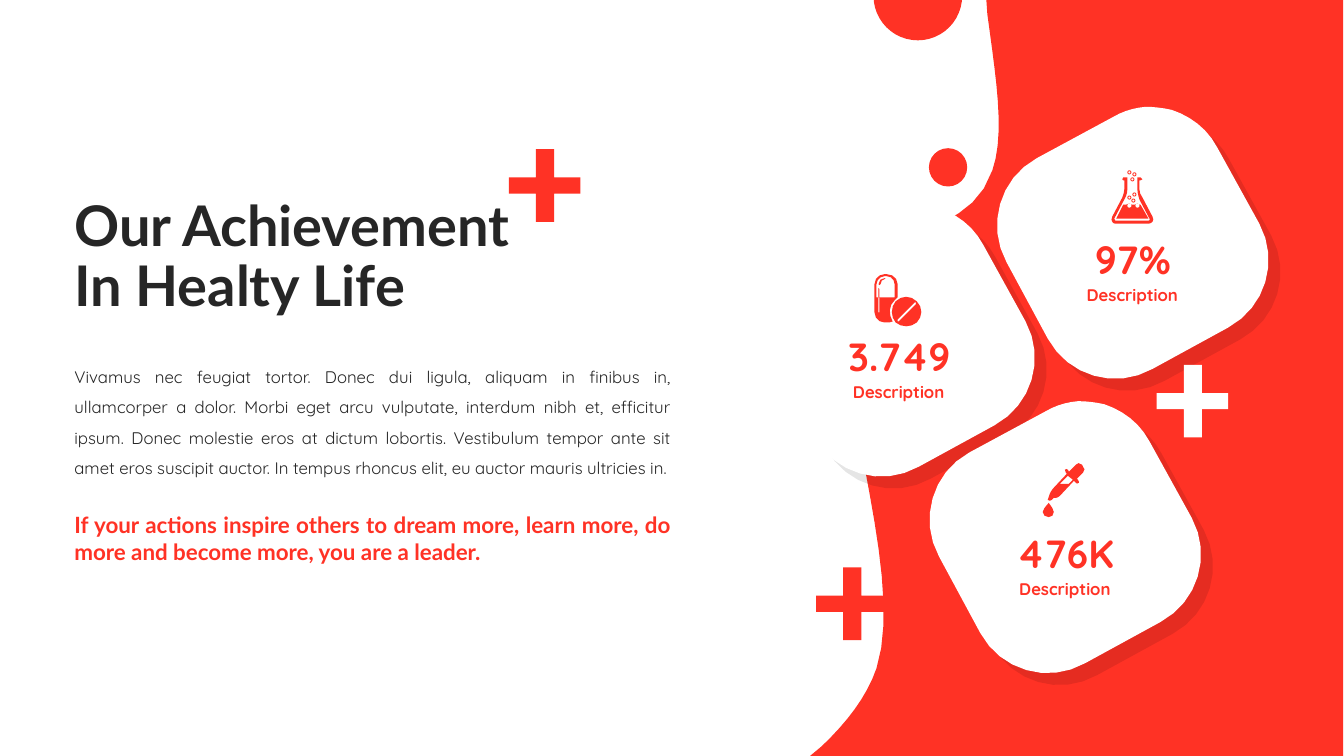
import math
from lxml import etree
from pptx import Presentation
from pptx import util as u
from pptx.dml.color import RGBColor
from pptx.enum import shapes, text
from pptx.oxml import ns

HUES = {"red": "FF3225", "white": "FFFFFF", "dark": "262626", "black": "000000"}
OVAL = shapes.MSO_SHAPE.OVAL
RING = shapes.MSO_SHAPE.DONUT
MID = text.PP_ALIGN.CENTER
JUST = text.PP_ALIGN.JUSTIFY

# Outlines in inches: a pair is a line's end, six numbers are a curve.
WAVE = [[(9.79, 0), (13.33, 0), (13.33, 7.5), (8.04, 7.5), (8.16, 7.4),
         (8.4, 7.17, 8.6, 6.92, 8.7, 6.63), (9, 5.69, 8.24, 3.81, 8.43, 2.98),
         (8.63, 2.16, 9.6, 2.44, 9.85, 1.69), (9.98, 1.32, 9.88, 0.74, 9.8, 0.14)]]
CARD = [[(9.05, 2.03), (9.13, 2.03, 9.22, 2.04, 9.31, 2.06),
         (9.49, 2.12, 9.66, 2.24, 9.76, 2.43),
         (10.18, 3.19), (10.38, 3.56, 10.24, 4.02, 9.87, 4.22), (9.12, 4.63),
         (8.75, 4.84, 8.28, 4.7, 8.08, 4.33), (7.67, 3.57),
         (7.47, 3.21, 7.6, 2.74, 7.97, 2.54), (8.73, 2.13),
         (8.83, 2.07, 8.94, 2.04, 9.05, 2.03)]]
CROSS = [[(.27, 0), (.45, 0), (.45, .28), (.71, .28), (.71, .44), (.45, .44),
          (.45, .72), (.27, .72), (.27, .44), (0, .44), (0, .28), (.27, .28)]]
FLASK = [
    [(11.44, 2.2), (11.43, 2.21, 11.42, 2.22, 11.4, 2.22), (11.07, 2.22),
     (11.06, 2.22, 11.04, 2.21, 11.04, 2.2), (11.03, 2.19, 11.03, 2.17, 11.04, 2.15),
     (11.14, 1.96), (11.15, 1.94, 11.16, 1.9, 11.16, 1.88), (11.16, 1.79), (11.15, 1.79),
     (11.14, 1.78), (11.15, 1.76), (11.19, 1.76), (11.19, 1.88),
     (11.19, 1.91, 11.18, 1.95, 11.16, 1.98), (11.06, 2.17), (11.07, 2.19), (11.4, 2.19),
     (11.41, 2.19, 11.42, 2.18, 11.41, 2.17), (11.31, 1.98),
     (11.3, 1.95, 11.29, 1.91, 11.29, 1.88), (11.29, 1.76), (11.32, 1.76),
     (11.34, 1.78), (11.32, 1.79), (11.31, 1.79), (11.31, 1.88),
     (11.31, 1.9, 11.32, 1.94, 11.34, 1.96), (11.44, 2.15),
     (11.45, 2.17, 11.45, 2.19, 11.44, 2.2)],
    [(11.21, 2.02), (11.23, 2.03), (11.27, 2.03), (11.29, 2.02), (11.31, 2.03),
     (11.32, 2.03), (11.4, 2.17), (11.08, 2.17), (11.15, 2.03), (11.18, 2.03)]]
PIPE = [
    [(10.75, 4.63), (10.74, 4.61), (10.72, 4.59, 10.69, 4.59, 10.68, 4.61), (10.61, 4.68),
     (10.6, 4.66), (10.59, 4.65, 10.58, 4.65, 10.57, 4.66), (10.58, 4.69), (10.59, 4.7),
     (10.45, 4.85), (10.43, 4.88), (10.42, 4.9), (10.41, 4.93), (10.4, 4.96),
     (10.41, 4.97, 10.43, 4.97, 10.44, 4.96), (10.46, 4.94), (10.48, 4.94),
     (10.49, 4.94, 10.51, 4.93, 10.52, 4.92), (10.66, 4.77), (10.68, 4.79),
     (10.68, 4.8, 10.7, 4.8, 10.71, 4.79), (10.71, 4.79, 10.71, 4.77, 10.7, 4.76),
     (10.69, 4.75), (10.75, 4.69), (10.77, 4.67, 10.77, 4.64, 10.75, 4.63)],
    [(10.61, 4.8), (10.52, 4.8), (10.6, 4.72), (10.65, 4.76)],
    [(10.41, 4.99), (10.41, 4.99, 10.46, 5.05, 10.46, 5.08),
     (10.46, 5.11, 10.44, 5.13, 10.41, 5.13), (10.38, 5.13, 10.35, 5.11, 10.35, 5.08),
     (10.35, 5.05, 10.41, 4.99, 10.41, 4.99)]]
PILLS = [
    [(8.79, 2.76), (8.78, 2.77), (8.76, 2.77, 8.74, 2.79, 8.74, 2.82), (8.73, 2.83),
     (8.72, 2.82), (8.72, 2.78, 8.75, 2.76, 8.78, 2.76)],
    [(8.86, 3.19), (8.84, 3.2, 8.82, 3.2, 8.8, 3.2), (8.78, 3.2),
     (8.73, 3.2, 8.68, 3.16, 8.68, 3.1), (8.68, 2.82),
     (8.68, 2.76, 8.73, 2.72, 8.78, 2.72), (8.8, 2.72),
     (8.86, 2.72, 8.91, 2.76, 8.91, 2.82), (8.91, 2.95), (8.88, 2.98),
     (8.82, 3.03, 8.82, 3.12, 8.86, 3.19)],
    [(8.88, 2.95), (8.88, 2.82), (8.88, 2.78, 8.85, 2.74, 8.8, 2.74), (8.78, 2.74),
     (8.74, 2.74, 8.7, 2.78, 8.7, 2.82), (8.7, 2.95), (8.72, 2.95), (8.72, 3.1),
     (8.73, 3.1), (8.73, 2.95)],
    [(9.1, 3.2), (9.04, 3.25, 8.95, 3.25, 8.89, 3.2), (8.84, 3.14, 8.84, 3.05, 8.89, 2.99),
     (8.95, 2.93, 9.04, 2.93, 9.1, 2.99), (9.16, 3.05, 9.16, 3.14, 9.1, 3.2)],
    [(9.09, 3), (9.08, 3), (8.91, 3.17), (8.91, 3.19), (8.92, 3.19), (9.09, 3.02)],
    [(8.72, 2.86), (8.72, 2.95), (8.73, 2.95), (8.73, 2.87)]]

# Shift of each card from the first, and its figure
CARDS = [(0, 0, "3.749"), (1.65, 1.95, "476K"), (2.32, -.97, "97%")]
PLUSES = [(11.48, 3.62, "white"), (8.1, 5.63, "red"), (5.05, 1.48, "red")]
DOTS = [(9.41, 1.66, .19), (9.11, -.04, .44)]
FIZZ = [(11.25, 1.99, .02), (11.26, 1.93, .02), (11.26, 1.73, .02),
        (11.21, 1.96, .02), (11.21, 1.71, .02), (11.24, 1.78, .02)]


def paint(shape, hue):
    shape.shadow.inherit = False
    shape.fill.solid()
    shape.fill.fore_color.rgb = RGBColor.from_string(HUES[hue])
    shape.line.fill.background()


def flat(loop):
    """Turn curves into short lines, more of them for longer curves."""
    pts = [loop[0]]
    for seg in loop[1:]:
        if len(seg) == 2:
            pts.append(seg)
            continue
        a, b, c, d = pts[-1], seg[:2], seg[2:4], seg[4:]
        steps = max(2, round(8 * math.sqrt(math.dist(a, d))))
        for i in range(1, steps + 1):
            t = i / steps
            s = 1 - t
            pts.append(tuple(s**3 * a[k] + 3 * s * s * t * b[k] + 3 * s * t * t * c[k]
                             + t**3 * d[k] for k in (0, 1)))
    return pts


def trace(slide, loops, hue, dx=0, dy=0):
    pen = None
    for loop in loops:
        pts = [(u.Inches(x + dx), u.Inches(y + dy)) for x, y in flat(loop)]
        if pen is None:
            pen = slide.shapes.build_freeform(*pts[0])
        else:
            pen.move_to(*pts[0])
        pen.add_line_segments(pts[1:], close=True)
    shape = pen.convert_to_shape()
    paint(shape, hue)
    return shape


def shade(shape):
    """Add a hard, faint shadow to the lower right."""
    fx = shape._element.spPr.find(ns.qn("a:effectLst"))
    cast = etree.SubElement(fx, ns.qn("a:outerShdw"), blurRad="0", dist=str(u.Pt(12.1)),
                            dir="2700000", algn="tl", rotWithShape="0")
    tint = etree.SubElement(cast, ns.qn("a:srgbClr"), val=HUES["black"])
    etree.SubElement(tint, ns.qn("a:alpha"), val="10000")


def disc(slide, x, y, r, hue, kind=OVAL):
    shape = slide.shapes.add_shape(kind, *map(u.Inches, (x - r, y - r, 2 * r, 2 * r)))
    paint(shape, hue)
    if kind == RING:
        shape.adjustments[0] = .22


def write(slide, box, words, size, hue, font, bold=True, align=None, space=None,
          anchor=text.MSO_ANCHOR.MIDDLE):
    frame = slide.shapes.add_textbox(*map(u.Inches, box)).text_frame
    frame.word_wrap = True
    frame.vertical_anchor = anchor
    para = frame.paragraphs[0]
    para.text = words
    para.alignment = align
    para.line_spacing = space
    para.font.size = u.Pt(size)
    para.font.name = font
    para.font.bold = bold
    para.font.color.rgb = RGBColor.from_string(HUES[hue])


def main():
    deck = Presentation()
    deck.slide_width, deck.slide_height = u.Inches(13.34), u.Inches(7.5)
    slide = deck.slides.add_slide(deck.slide_layouts[6])

    # Red wave and cards
    trace(slide, WAVE, "red")
    for dx, dy, count in CARDS:
        shade(trace(slide, CARD, "white", dx, dy))
        write(slide, (8.29 + dx, 3.74 + dy, 1.26, .3), "Description", 12, "red",
              "Quicksand", align=MID)
        write(slide, (8.17 + dx, 3.25 + dy, 1.51, .57), count, 28, "red",
              "Quicksand", align=MID)

    # Pluses and dots
    for x, y, hue in PLUSES:
        trace(slide, CROSS, hue, x, y)
    for dot in DOTS:
        disc(slide, *dot, "red")

    # Heading and body
    top = text.MSO_ANCHOR.TOP
    write(slide, (.64, 3.49, 6.12, 1.3),
          "Vivamus nec feugiat tortor. Donec dui ligula, aliquam in finibus in, "
          "ullamcorper a dolor. Morbi eget arcu vulputate, interdum nibh et, efficitur "
          "ipsum. Donec molestie eros at dictum lobortis. Vestibulum tempor ante sit amet "
          "eros suscipit auctor. In tempus rhoncus elit, eu auctor mauris ultricies in.",
          12, "dark", "Quicksand", False, JUST, 1.5, top)
    write(slide, (.64, 5.02, 6.12, .64),
          "If your actions inspire others to dream more, learn more, do more and become "
          "more, you are a leader.", 16, "red", "Lato", align=JUST, anchor=top)
    write(slide, (.64, 1.84, 5.09, 1.45), "Our Achievement\nIn Healty Life", 40, "dark",
          "Lato", space=.9)

    # Icons
    for icon in (FLASK, PIPE, PILLS):
        trace(slide, icon, "red")
    for ring in FIZZ:
        disc(slide, *ring, "red", RING)
    for x in (11.21, 11.29):
        disc(slide, x, 2.04, .02, "white")

    deck.save("out.pptx")


if __name__ == "__main__":
    main()
